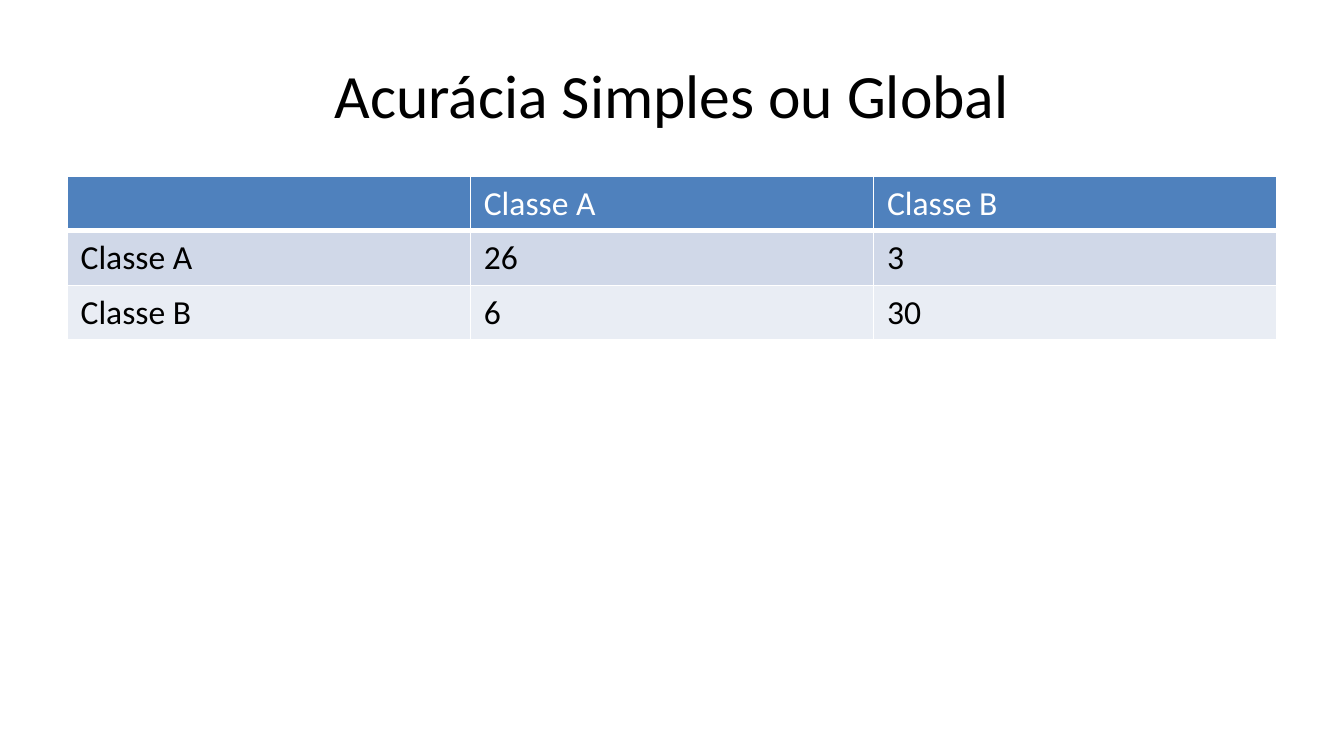
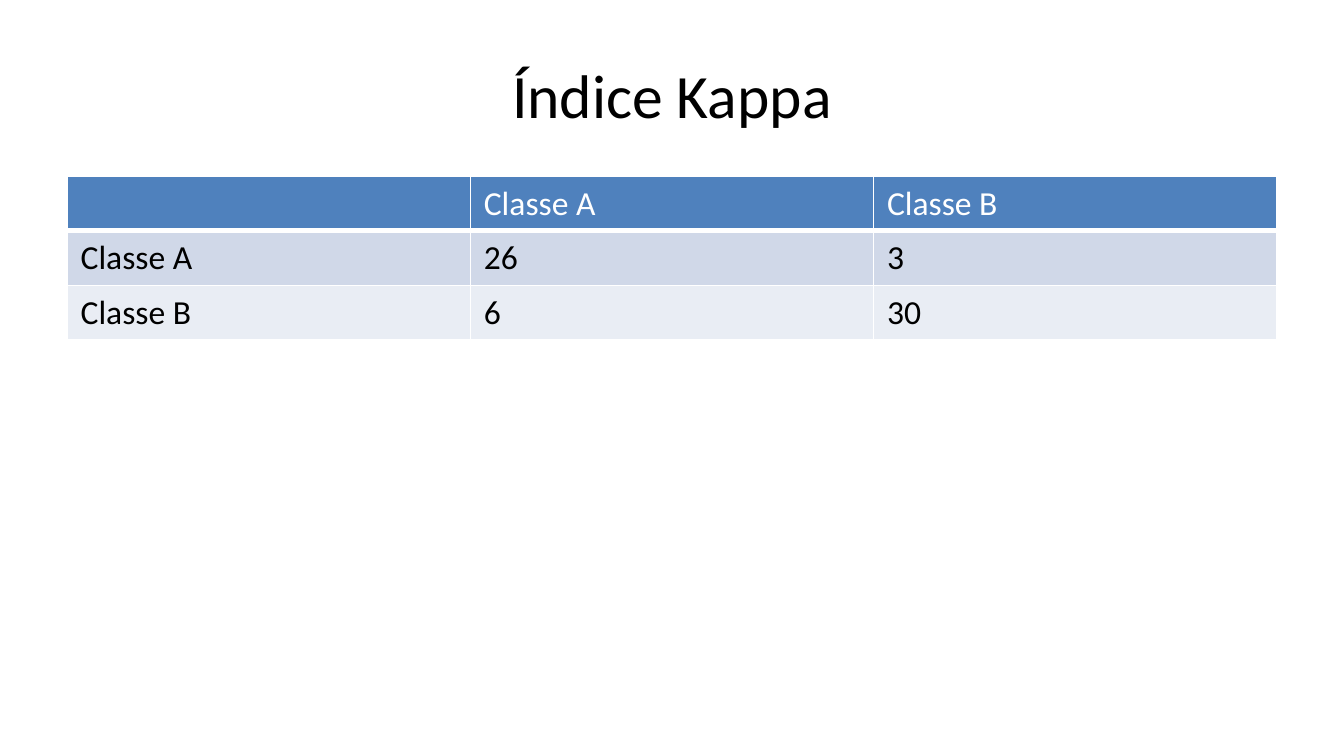
from lxml import etree
from pptx import Presentation
from pptx.dml.color import RGBColor
from pptx.enum import text
from pptx.oxml import ns
from pptx.util import Pt

# Content
CONFUSION = [
    ("", "Classe A", "Classe B"),
    ("Classe A", "26", "3"),
    ("Classe B", "6", "30"),
]
PAGES = [
    ("Acurácia Simples ou Global", CONFUSION),
    ("Índice Kappa", CONFUSION),
]

# Shared style
FONT = "Calibri"
BLACK = RGBColor(0x00, 0x00, 0x00)
WHITE = RGBColor(0xFF, 0xFF, 0xFF)
HEADER = RGBColor(0x4F, 0x81, 0xBD)
BANDS = [RGBColor(0xD0, 0xD8, 0xE8), RGBColor(0xE9, 0xED, 0xF4)]
PAGE_W, PAGE_H = 720, 405
MARGIN = 36
CONTENT_W = PAGE_W - 2 * MARGIN
TITLE_TOP, TITLE_H = 16.5, 67.5
TABLE_TOP, ROW_H = 94.5, 29.16


def add_run(para, words, size, color):
    span = para.add_run()
    span.text = words
    span.font.name = FONT
    span.font.size = Pt(size)
    span.font.bold = False
    span.font.color.rgb = color


def set_borders(cell, top, bottom):
    """White rules on all four sides; widths in points."""
    properties = cell._tc.get_or_add_tcPr()
    for side, width in (("L", 1), ("R", 1), ("T", top), ("B", bottom)):
        line = etree.SubElement(properties, ns.qn(f"a:ln{side}"), w=str(Pt(width)))
        fill = etree.SubElement(line, ns.qn("a:solidFill"))
        etree.SubElement(fill, ns.qn("a:srgbClr"), val=str(WHITE))


def add_title(page, words):
    title = page.shapes.title
    title.left, title.top = Pt(MARGIN), Pt(TITLE_TOP)
    title.width, title.height = Pt(CONTENT_W), Pt(TITLE_H)
    frame = title.text_frame
    frame.vertical_anchor = text.MSO_ANCHOR.MIDDLE
    para = frame.paragraphs[0]
    para.alignment = text.PP_ALIGN.CENTER
    add_run(para, words, 33, BLACK)


def add_matrix(page, rows):
    table = page.shapes.add_table(
        len(rows), len(rows[0]), Pt(MARGIN), Pt(TABLE_TOP),
        Pt(CONTENT_W), Pt(ROW_H * len(rows))).table
    table.horz_banding = False
    for r, row in enumerate(rows):
        for c, words in enumerate(row):
            cell = table.cell(r, c)
            # The rule under the header is heavier
            set_borders(cell, 3 if r == 1 else 1, 3 if r == 0 else 1)
            cell.fill.solid()
            cell.fill.fore_color.rgb = BANDS[(r - 1) % 2] if r else HEADER
            if words:
                add_run(cell.text_frame.paragraphs[0], words, 18,
                        BLACK if r else WHITE)


def main():
    deck = Presentation()
    deck.slide_width, deck.slide_height = Pt(PAGE_W), Pt(PAGE_H)
    title_only = deck.slide_layouts[5]
    for title, rows in PAGES:
        page = deck.slides.add_slide(title_only)
        add_title(page, title)
        add_matrix(page, rows)
    deck.save("out.pptx")


if __name__ == "__main__":
    main()
